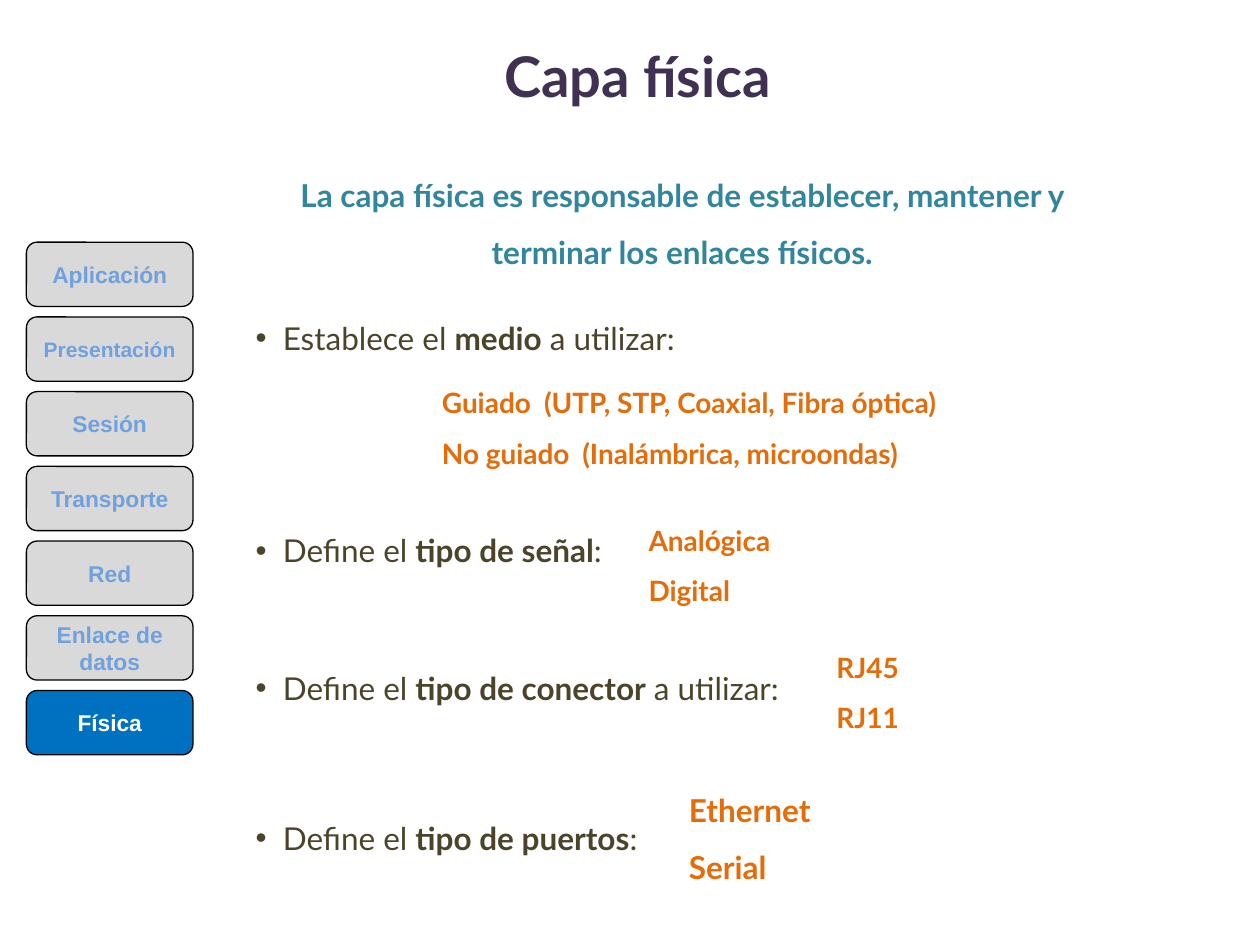
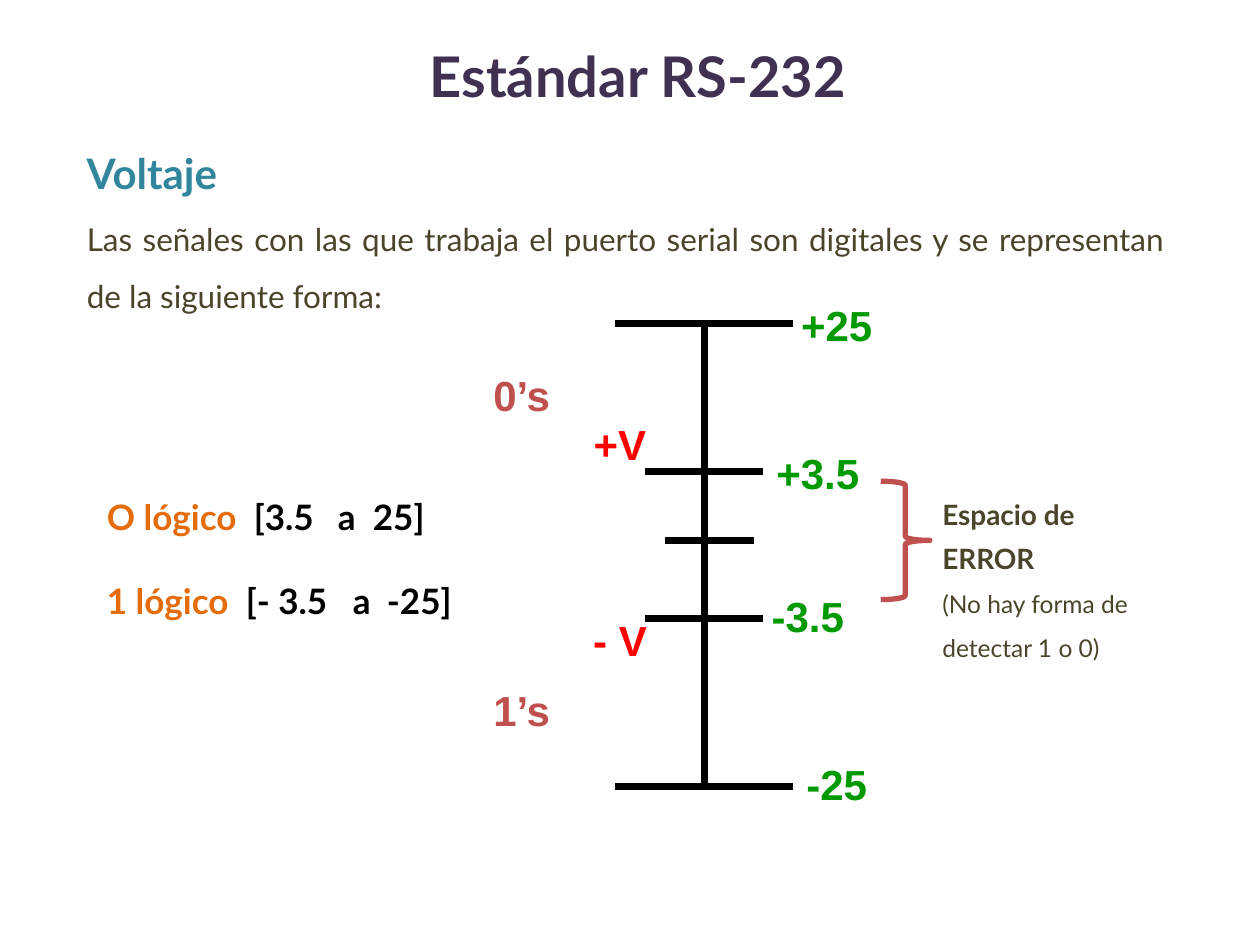
"""Build two slides on the physical layer and the RS-232 standard."""
from dataclasses import dataclass
from typing import Optional, Sequence

from lxml import etree
from pptx import Presentation
from pptx.dml.color import RGBColor
from pptx.enum.shapes import MSO_CONNECTOR, MSO_SHAPE
from pptx.enum.text import MSO_ANCHOR, PP_ALIGN
from pptx.oxml.ns import qn
from pptx.slide import Slide
from pptx.text.text import TextFrame
from pptx.util import Pt

PURPLE = RGBColor(0x40, 0x31, 0x52)
TEAL = RGBColor(0x31, 0x85, 0x9C)
OLIVE = RGBColor(0x4A, 0x45, 0x2A)
ORANGE = RGBColor(0xE4, 0x6C, 0x0A)
BRICK = RGBColor(0xC0, 0x50, 0x4D)
GREEN = RGBColor(0x00, 0x99, 0x00)
RED = RGBColor(0xFF, 0x00, 0x00)
BLACK = RGBColor(0x00, 0x00, 0x00)
WHITE = RGBColor(0xFF, 0xFF, 0xFF)
GREY = RGBColor(0xD9, 0xD9, 0xD9)
BLUE = RGBColor(0x00, 0x70, 0xC0)
PALE_BLUE = RGBColor(0x71, 0xA1, 0xDC)

BODY_FONT, LABEL_FONT = "Lato", "Arial"
LEFT, CENTER, JUSTIFY = PP_ALIGN.LEFT, PP_ALIGN.CENTER, PP_ALIGN.JUSTIFY


@dataclass(frozen=True)
class Box:
    left: float
    top: float
    width: float
    height: float

    def emu(self) -> tuple:
        return Pt(self.left), Pt(self.top), Pt(self.width), Pt(self.height)


@dataclass(frozen=True)
class Run:
    text: str
    size: float
    color: RGBColor
    bold: bool = True
    font: str = BODY_FONT


@dataclass(frozen=True)
class Para:
    runs: Sequence[Run]
    align: PP_ALIGN = JUSTIFY
    spacing: Optional[object] = 1.5
    hanging: float = 0
    tabs: Sequence[float] = ()


@dataclass(frozen=True)
class Topic:
    top: float
    before: str
    key: str
    after: str
    options_box: Box
    options: Sequence[str]
    size: float = 16
    tabs: Sequence[float] = (0, 0)


@dataclass(frozen=True)
class Tick:
    center: float
    y: float
    half_width: float


@dataclass(frozen=True)
class Label:
    text: str
    left: float
    top: float
    color: RGBColor


LAYERS = ("Aplicación", "Presentación", "Sesión", "Transporte", "Red", "Enlace de datos", "Física")
ACTIVE_LAYER = "Física"
LAYER_LEFT, LAYER_TOP, LAYER_WIDTH, LAYER_HEIGHT, LAYER_PITCH = 15.1, 138.4, 95.2, 36.7, 42.7

TOPICS = (
    Topic(167.8, "Establece el ", "medio", " a utilizar:", Box(245.5, 207.4, 410, 65.5),
          ("Guiado\t(UTP, STP, Coaxial, Fibra óptica)", "No guiado\t(Inalámbrica, microondas)"),
          tabs=(58.3, 80.2)),
    Topic(289.4, "Define el ", "tipo de señal", ":", Box(363.6, 285.8, 202, 65.5),
          ("Analógica", "Digital")),
    Topic(367.9, "Define el ", "tipo de conector", " a utilizar:", Box(470.9, 358.6, 168, 65.5),
          ("RJ45", "RJ11")),
    Topic(453.6, "Define el ", "tipo de puertos", ":", Box(386.6, 437.8, 96, 72.7),
          ("Ethernet", "Serial"), 18),
)

AXIS_X, AXIS_TOP, AXIS_BOTTOM = 402.5, 185, 449.3
TICKS = (
    Tick(AXIS_X, AXIS_TOP, 50.8),
    Tick(AXIS_X, AXIS_BOTTOM, 50.8),
    Tick(AXIS_X, 269.3, 33.8),
    Tick(AXIS_X, 353.5, 33.8),
    Tick(405.4, 308.9, 25.2),
)
LABELS = (
    Label("+V", 323.3, 235.4, RED),
    Label("- V", 323.3, 347.8, RED),
    Label("0’s", 267.1, 207.4, BRICK),
    Label("1’s", 267.1, 387.4, BRICK),
    Label("+3.5", 436.3, 252, GREEN),
    Label("-3.5", 430.6, 334.1, GREEN),
    Label("+25", 447.1, 167.8, GREEN),
    Label("-25", 447.1, 429.8, GREEN),
)


def write(frame: TextFrame, paras: Sequence[Para]) -> None:
    """Fill a text frame with formatted paragraphs."""
    frame.word_wrap = True
    for index, para in enumerate(paras):
        paragraph = frame.add_paragraph() if index else frame.paragraphs[0]
        paragraph.alignment = para.align
        if para.spacing:
            paragraph.line_spacing = para.spacing
        properties = paragraph._p.get_or_add_pPr()
        if para.hanging:
            properties.set("marL", str(Pt(para.hanging)))
            properties.set("indent", str(-Pt(para.hanging)))
            etree.SubElement(properties, qn("a:buFont"), typeface="Arial")
            etree.SubElement(properties, qn("a:buChar"), char="•")
        if para.tabs:
            stops = etree.SubElement(properties, qn("a:tabLst"))
            for position in para.tabs:
                etree.SubElement(stops, qn("a:tab"), pos=str(Pt(position)), algn="l")
        for item in para.runs:
            run = paragraph.add_run()
            run.text = item.text
            run.font.name = item.font
            run.font.size = Pt(item.size)
            run.font.bold = item.bold
            run.font.color.rgb = item.color


def add_text(slide: Slide, box: Box, *paras: Para) -> TextFrame:
    """Add a wrapping text box."""
    frame = slide.shapes.add_textbox(*box.emu()).text_frame
    write(frame, paras)
    return frame


def add_title(slide: Slide, text: str) -> None:
    """Add the shared slide title."""
    frame = add_text(slide, Box(11.7, -2.2, 705.6, 90),
                     Para([Run(text, 32, PURPLE)], CENTER, None))
    frame.vertical_anchor = MSO_ANCHOR.MIDDLE


def add_layer(slide: Slide, index: int, name: str) -> None:
    """Add one button of the layer stack."""
    active = name == ACTIVE_LAYER
    box = Box(LAYER_LEFT, LAYER_TOP + index * LAYER_PITCH, LAYER_WIDTH, LAYER_HEIGHT)
    shape = slide.shapes.add_shape(MSO_SHAPE.ROUNDED_RECTANGLE, *box.emu())
    shape.shadow.inherit = False
    shape.fill.solid()
    shape.fill.fore_color.rgb = BLUE if active else GREY
    shape.line.color.rgb = BLACK
    shape.line.width = Pt(0.75)
    size = 12 if name == "Presentación" else 13
    color = WHITE if active else PALE_BLUE
    write(shape.text_frame, [Para([Run(name, size, color, font=LABEL_FONT)], CENTER, None)])
    shape.text_frame.vertical_anchor = MSO_ANCHOR.MIDDLE


def add_topic(slide: Slide, topic: Topic) -> None:
    """Add a bulleted topic and its options."""
    width = 248 if topic.key == "tipo de puertos" else 517.7
    add_text(slide, Box(139, topic.top, width, 36),
             Para([Run(topic.before, 18, OLIVE, False), Run(topic.key, 18, OLIVE),
                   Run(topic.after, 18, OLIVE, False)], hanging=15.5))
    add_text(slide, topic.options_box,
             *(Para([Run(option, topic.size, ORANGE)], tabs=(tab,) if tab else ())
               for option, tab in zip(topic.options, topic.tabs)))


def add_line(slide: Slide, x1: float, y1: float, x2: float, y2: float) -> None:
    """Add a thick black line."""
    line = slide.shapes.add_connector(MSO_CONNECTOR.STRAIGHT, Pt(x1), Pt(y1), Pt(x2), Pt(y2))
    line.line.color.rgb = BLACK
    line.line.width = Pt(4)
    etree.SubElement(line._element.spPr, qn("a:effectLst"))


def add_brace(slide: Slide, box: Box) -> None:
    """Add the brace that marks the error band."""
    brace = slide.shapes.add_shape(MSO_SHAPE.RIGHT_BRACE, *box.emu())
    brace.adjustments[0] = 0.083
    brace.shadow.inherit = False
    brace.fill.background()
    brace.line.color.rgb = BRICK
    brace.line.width = Pt(3)


def build_physical_layer(slide: Slide) -> None:
    """Draw the physical layer slide."""
    for index, name in enumerate(LAYERS):
        add_layer(slide, index, name)
    add_text(slide, Box(131, 86.4, 517.7, 72.7),
             Para([Run("La capa física es responsable de establecer, mantener y terminar "
                       "los enlaces físicos.", 18, TEAL)], CENTER))
    for topic in TOPICS:
        add_topic(slide, topic)
    add_title(slide, "Capa física")


def build_rs232(slide: Slide) -> None:
    """Draw the RS-232 voltage slide."""
    add_text(slide, Box(42.5, 66.2, 152, 51), Para([Run("Voltaje", 24, TEAL)]))
    add_text(slide, Box(42.5, 111.6, 630, 72.7),
             Para([Run("Las señales con las que trabaja el puerto serial son digitales y se "
                       "representan de la siguiente forma:", 18, OLIVE, False)]))
    add_line(slide, AXIS_X, AXIS_TOP, AXIS_X, AXIS_BOTTOM)
    for tick in TICKS:
        add_line(slide, tick.center - tick.half_width, tick.y, tick.center + tick.half_width, tick.y)
    for label in LABELS:
        add_text(slide, Box(label.left, label.top, 62, 36.7),
                 Para([Run(label.text, 24, label.color, font=LABEL_FONT)], CENTER, None))
    add_brace(slide, Box(503.3, 275, 28.1, 67.7))
    add_text(slide, Box(531.4, 275, 134.6, 108),
             Para([Run("Espacio de ERROR", 16, OLIVE)], LEFT, Pt(25)),
             Para([Run("(No hay forma de detectar 1 o 0)", 14, OLIVE, False)], LEFT, Pt(25)))
    add_text(slide, Box(54, 255.6, 258.5, 104.4),
             Para([Run("O lógico", 20, ORANGE), Run("\t[3.5\ta\t25]", 20, BLACK)],
                  LEFT, 2.0, tabs=(84, 132, 152)),
             Para([Run("1 lógico", 20, ORANGE), Run("\t[- 3.5\ta\t-25]", 20, BLACK)],
                  LEFT, 2.0, tabs=(79.4, 140.5, 160)))
    add_title(slide, "Estándar RS-232")


def main() -> None:
    """Create and save the presentation."""
    deck = Presentation()
    deck.slide_width, deck.slide_height = Pt(720), Pt(540)
    for build in (build_physical_layer, build_rs232):
        build(deck.slides.add_slide(deck.slide_layouts[6]))
    deck.save("out.pptx")


main()
